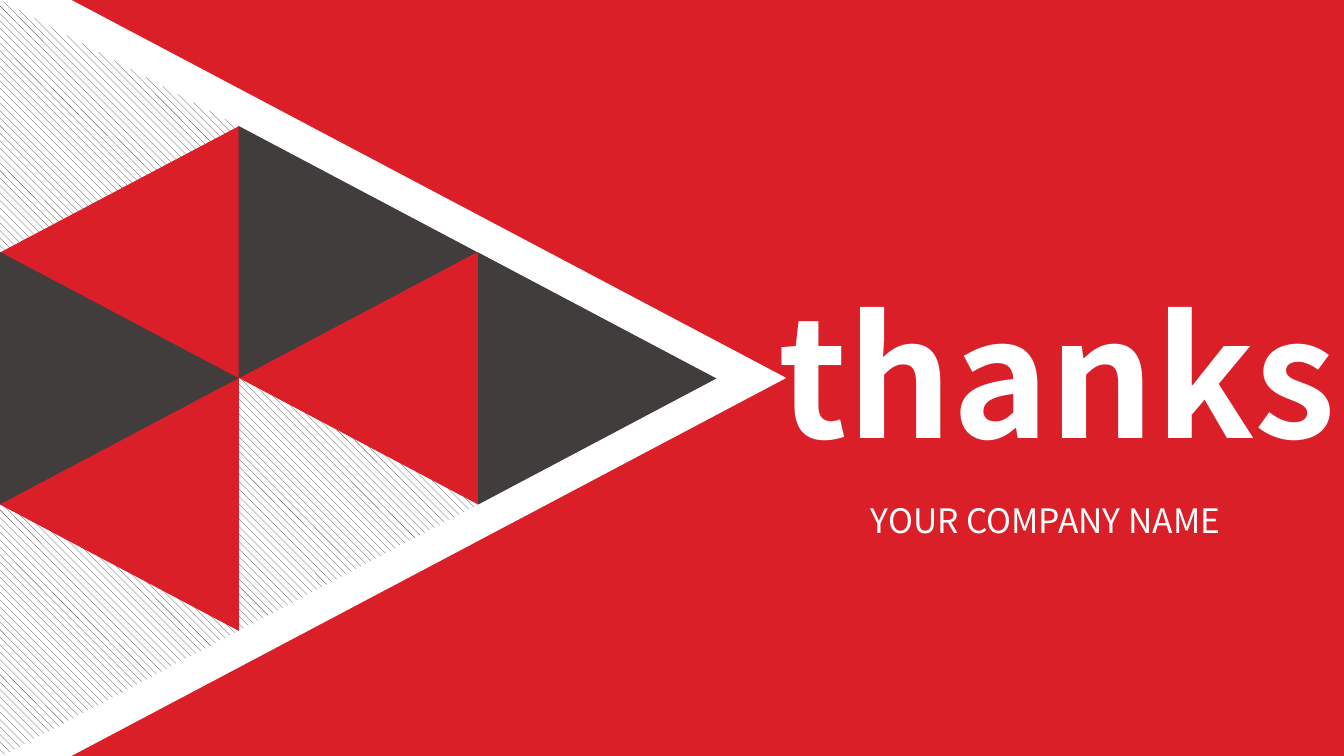
from pptx import Presentation
from pptx.dml.color import RGBColor
from pptx.enum.dml import MSO_PATTERN
from pptx.enum.shapes import MSO_SHAPE
from pptx.enum.text import MSO_ANCHOR, MSO_AUTO_SIZE, PP_ALIGN
from pptx.util import Cm, Pt

RED, DARK, WHITE = "DA1F28", "403D3C", "FFFFFF"
FONT = "Noto Sans CJK SC"
TRI = MSO_SHAPE.ISOSCELES_TRIANGLE
LINES = MSO_PATTERN.WIDE_DOWNWARD_DIAGONAL
RIGHT, LEFT = 90, 270
HATCH = "hatch"

ARROW = [(0, 0), (1.35, 0), (14.86, 7.14), (1.35, 14.28), (0, 14.28)]

# column, row, direction, fill
TILES = [
    (0, 0, RIGHT, HATCH),
    (0, 1, LEFT, RED),
    (0, 2, RIGHT, DARK),
    (1, 1, RIGHT, DARK),
    (0, 4, RIGHT, HATCH),
    (2, 2, RIGHT, DARK),
    (0, 3, LEFT, RED),
    (1, 2, LEFT, RED),
    (1, 3, RIGHT, HATCH),
]
BASE, HIGH = 4.78, 4.52
STEP_X, STEP_Y = 4.51, 2.38
MID_X, MID_Y = 2.26, 2.39

# text, box in cm, font
TEXTS = [
    ("thanks", (13.64, 5.03, 12.67, 4.01), {"size": Pt(88), "bold": True}),
    ("YOUR COMPANY NAME", (15.44, 9.32, 8.64, 1.02),
     {"size": Pt(18), "bold": False}),
]


def color(code):
    return RGBColor.from_string(code)


def paint(shape, fill):
    """Fill a shape with a colour or the hatch, without line or shadow."""
    if fill == HATCH:
        shape.fill.patterned()
        shape.fill.pattern = LINES
        shape.fill.fore_color.rgb = color(DARK)
        shape.fill.back_color.rgb = color(WHITE)
    else:
        shape.fill.solid()
        shape.fill.fore_color.rgb = color(fill)
    shape.line.fill.background()
    shape.shadow.inherit = False


def add_arrow(slide):
    points = [(Cm(x), Cm(y)) for x, y in ARROW]
    build = slide.shapes.build_freeform(*points[0])
    build.add_line_segments(points[1:], close=True)
    paint(build.convert_to_shape(), WHITE)


def add_tile(slide, col, row, turn, fill):
    left = MID_X + col * STEP_X - BASE / 2
    top = MID_Y + row * STEP_Y - HIGH / 2
    tile = slide.shapes.add_shape(TRI, Cm(left), Cm(top), Cm(BASE), Cm(HIGH))
    tile.rotation = turn
    paint(tile, fill)


def set_text(holder, text, box, style):
    for name, value in zip(("left", "top", "width", "height"), box):
        setattr(holder, name, Cm(value))
    frame = holder.text_frame
    frame.text = text
    frame.word_wrap = True
    frame.auto_size = MSO_AUTO_SIZE.NONE
    frame.vertical_anchor = MSO_ANCHOR.MIDDLE
    para = frame.paragraphs[0]
    para.alignment = PP_ALIGN.CENTER
    para.space_before = Pt(0)
    font = para.runs[0].font
    for name, value in {"name": FONT, **style}.items():
        setattr(font, name, value)
    font.color.rgb = color(WHITE)


def main():
    deck = Presentation()
    deck.slide_width, deck.slide_height = Cm(25.4), Cm(14.28)
    slide = deck.slides.add_slide(deck.slide_layouts[0])
    slide.background.fill.solid()
    slide.background.fill.fore_color.rgb = color(RED)

    add_arrow(slide)
    for tile in TILES:
        add_tile(slide, *tile)
    for holder, item in zip(list(slide.placeholders), TEXTS):
        set_text(holder, *item)
        node = holder.element
        node.getparent().append(node)  # bring the text to the front
    deck.save("out.pptx")


if __name__ == "__main__":
    main()
